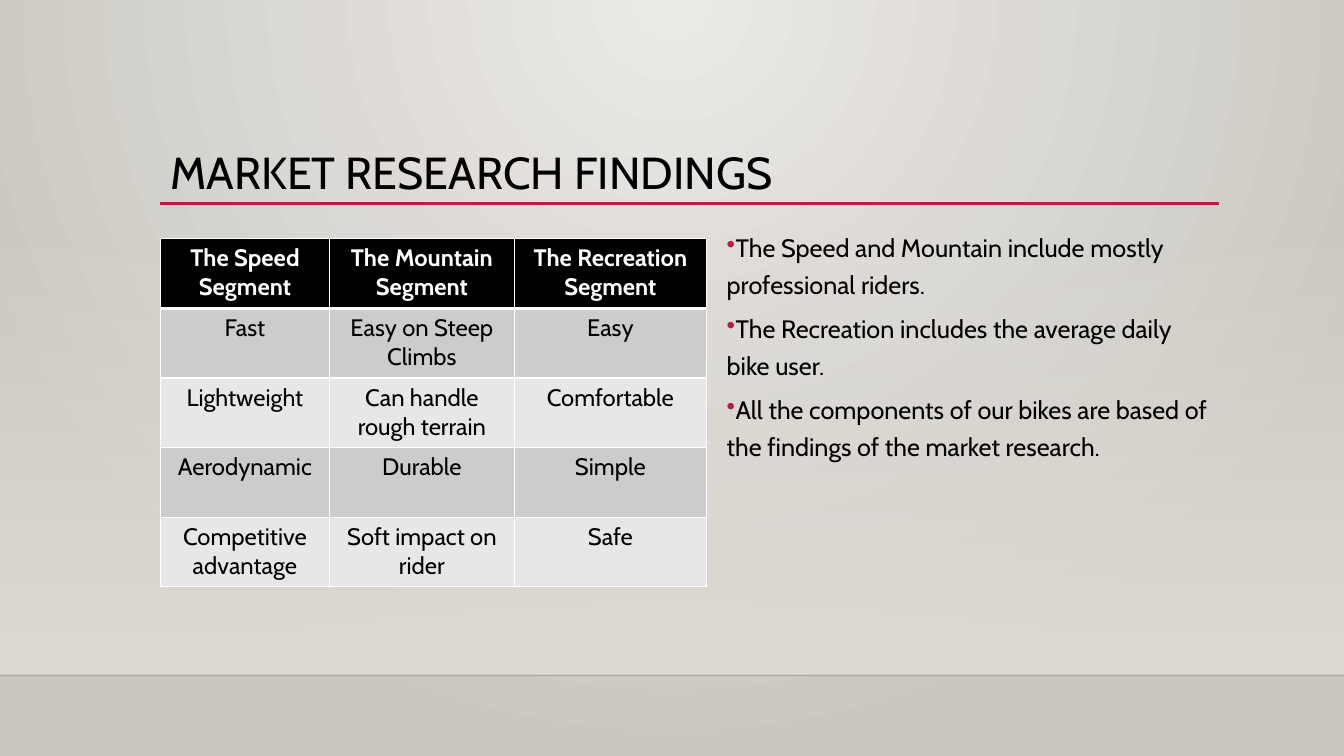
from lxml import etree
from pptx import Presentation
from pptx.dml.color import RGBColor
from pptx.enum import shapes, text
from pptx.oxml import ns
from pptx.util import Pt

TITLE = "MARKET RESEARCH FINDINGS"
SEGMENTS = [
    ("The Speed Segment", "The Mountain Segment", "The Recreation Segment"),
    ("Fast", "Easy on Steep Climbs", "Easy"),
    ("Lightweight", "Can handle rough terrain", "Comfortable"),
    ("Aerodynamic", "Durable", "Simple"),
    ("Competitive advantage", "Soft impact on rider", "Safe"),
]
FINDINGS = [
    "The Speed and Mountain include mostly professional riders.",
    "The Recreation includes the average daily bike user.",
    "All the components of our bikes are based of the findings of the market research.",
]

FONT = "Cabin"
BLACK = RGBColor(0x00, 0x00, 0x00)
WHITE = RGBColor(0xFF, 0xFF, 0xFF)
RED = RGBColor(0xB7, 0x1E, 0x42)
BANDS = [RGBColor(0xCC, 0xCC, 0xCC), RGBColor(0xE7, 0xE7, 0xE7)]
GLOW = RGBColor(0xEC, 0xEA, 0xE7)
EDGE = RGBColor(0xCA, 0xC7, 0xC1)
WALL = RGBColor(0xDF, 0xDB, 0xD5)
SHADE = RGBColor(0x00, 0x00, 0x01)

WIDTH, HEIGHT = 960, 540
LEFT = 114.5
WALL_TOP, FLOOR = 159, 482.4
COLUMNS = [121, 131.8, 137.5]
ROW = 49.7


def sub(parent, tag, **attrs):
    return etree.SubElement(parent, ns.qn(tag), attrs)


def set_alpha(color, percent):
    sub(color, "a:alpha", val=str(percent * 1000))


def set_stops(fill, *colors):
    fill.gradient()
    for stop, color in zip(fill.gradient_stops, colors):
        stop.color.rgb = color


def add_run(p, words, size, color, bold=False):
    r = p.add_run()
    r.text = words
    r.font.name, r.font.size, r.font.bold = FONT, Pt(size), bold
    r.font.color.rgb = color


def add_line(x1, x2, y, color, width):
    line = s.shapes.add_connector(
        shapes.MSO_CONNECTOR.STRAIGHT, Pt(x1), Pt(y), Pt(x2), Pt(y))
    line.line.color.rgb = color
    line.line.width = Pt(width)
    sub(line._element.spPr, "a:effectLst")
    return line


def add_text_box(x, y, w, h):
    tf = s.shapes.add_textbox(Pt(x), Pt(y), Pt(w), Pt(h)).text_frame
    tf.word_wrap = True
    return tf


def add_bullet(p):
    pPr = p._p.get_or_add_pPr()
    pPr.set("marL", "0")
    pPr.set("indent", str(-Pt(18)))
    sub(sub(pPr, "a:buClr"), "a:srgbClr", val=str(RED))
    sub(pPr, "a:buChar", char="•")


def set_borders(cell, top, bottom):
    """Give the cell white borders; they must come before its fill."""
    tcPr = cell._tc.get_or_add_tcPr()
    for side, width in (("L", 1), ("R", 1), ("T", top), ("B", bottom)):
        ln = sub(tcPr, f"a:ln{side}", w=str(Pt(width)))
        sub(sub(ln, "a:solidFill"), "a:srgbClr", val=str(WHITE))


prs = Presentation()
prs.slide_width, prs.slide_height = Pt(WIDTH), Pt(HEIGHT)
s = prs.slides.add_slide(prs.slide_layouts[6])

# Backdrop: round glow from the top centre, then a wall fading in above the floor
set_stops(s.background.fill, GLOW, EDGE)
grad = next(s.element.iter(ns.qn("a:gradFill")))
grad.remove(grad.find(ns.qn("a:lin")))
sub(sub(grad, "a:path", path="circle"), "a:fillToRect",
    l="43000", t="0", r="43000", b="100000")

wall = s.shapes.add_shape(shapes.MSO_SHAPE.RECTANGLE, 0, Pt(WALL_TOP),
                          Pt(WIDTH), Pt(FLOOR - WALL_TOP))
wall.shadow.inherit = False
wall.line.fill.background()
set_stops(wall.fill, WALL, WALL)
wall.fill.gradient_angle = 270
set_alpha(next(wall._element.spPr.iter(ns.qn("a:srgbClr"))), 0)

floor_line = add_line(0, WIDTH, FLOOR, SHADE, 1)
set_alpha(next(floor_line._element.spPr.iter(ns.qn("a:srgbClr"))), 20)

# Title
add_line(LEFT, 871, 145.4, RED, 2.5)
tf = add_text_box(LEFT, 63.4, 756, 82.6)
tf.vertical_anchor = text.MSO_ANCHOR.BOTTOM
tf.paragraphs[0].line_spacing = 0.9
add_run(tf.paragraphs[0], TITLE, 32, BLACK)

# Findings
tf = add_text_box(512, 158.4, 358.6, 271.4)
for i, finding in enumerate(FINDINGS):
    p = tf.add_paragraph() if i else tf.paragraphs[0]
    add_bullet(p)
    p.line_spacing = 1.2
    p.space_after = Pt(6)
    add_run(p, finding, 18, BLACK)

# Segments
table = s.shapes.add_table(
    len(SEGMENTS), len(COLUMNS), Pt(LEFT), Pt(170.6),
    Pt(sum(COLUMNS)), Pt(ROW * len(SEGMENTS))).table
for column, width in zip(table.columns, COLUMNS):
    column.width = Pt(width)
for i, entries in enumerate(SEGMENTS):
    table.rows[i].height = Pt(ROW)
    header = i == 0
    for j, entry in enumerate(entries):
        cell = table.cell(i, j)
        set_borders(cell, 3 if i == 1 else 1, 3 if header else 1)
        cell.fill.solid()
        cell.fill.fore_color.rgb = BLACK if header else BANDS[(i - 1) % 2]
        p = cell.text_frame.paragraphs[0]
        p.alignment = text.PP_ALIGN.CENTER
        add_run(p, entry, 17, WHITE if header else BLACK, header)

prs.save("out.pptx")
